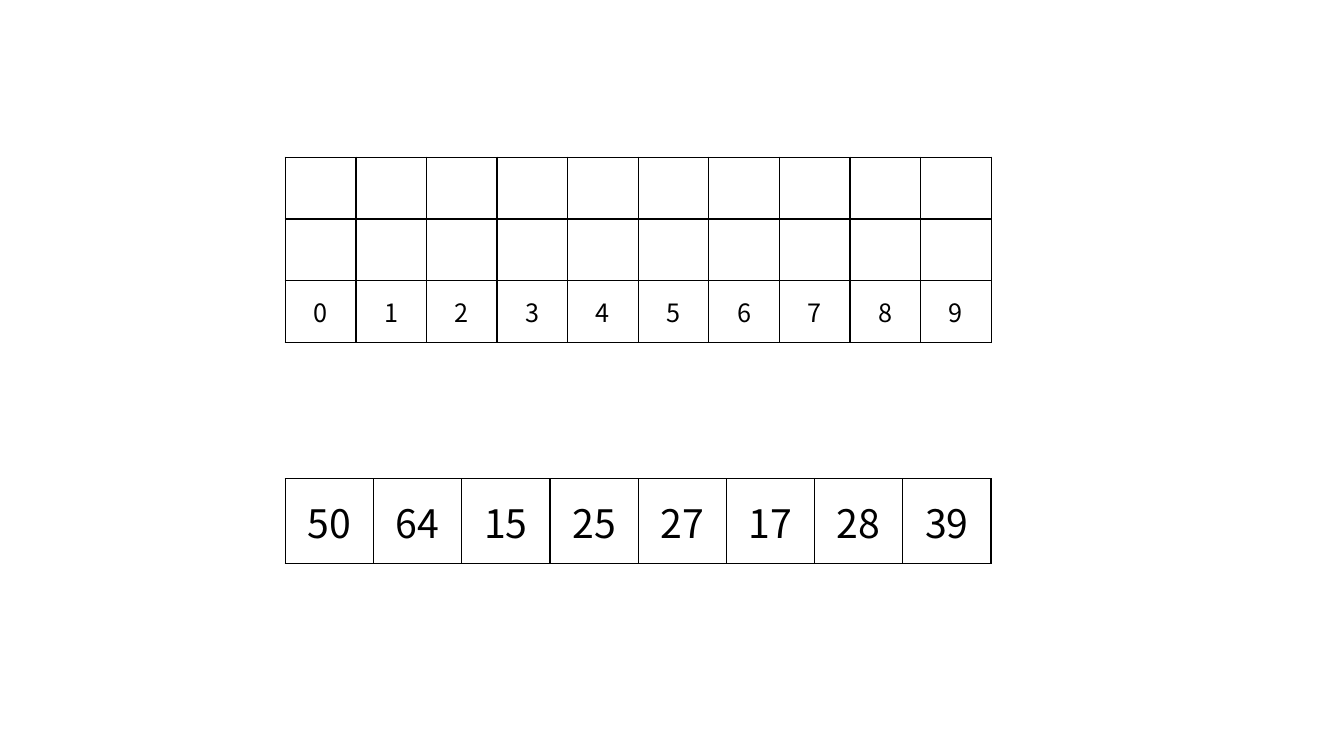
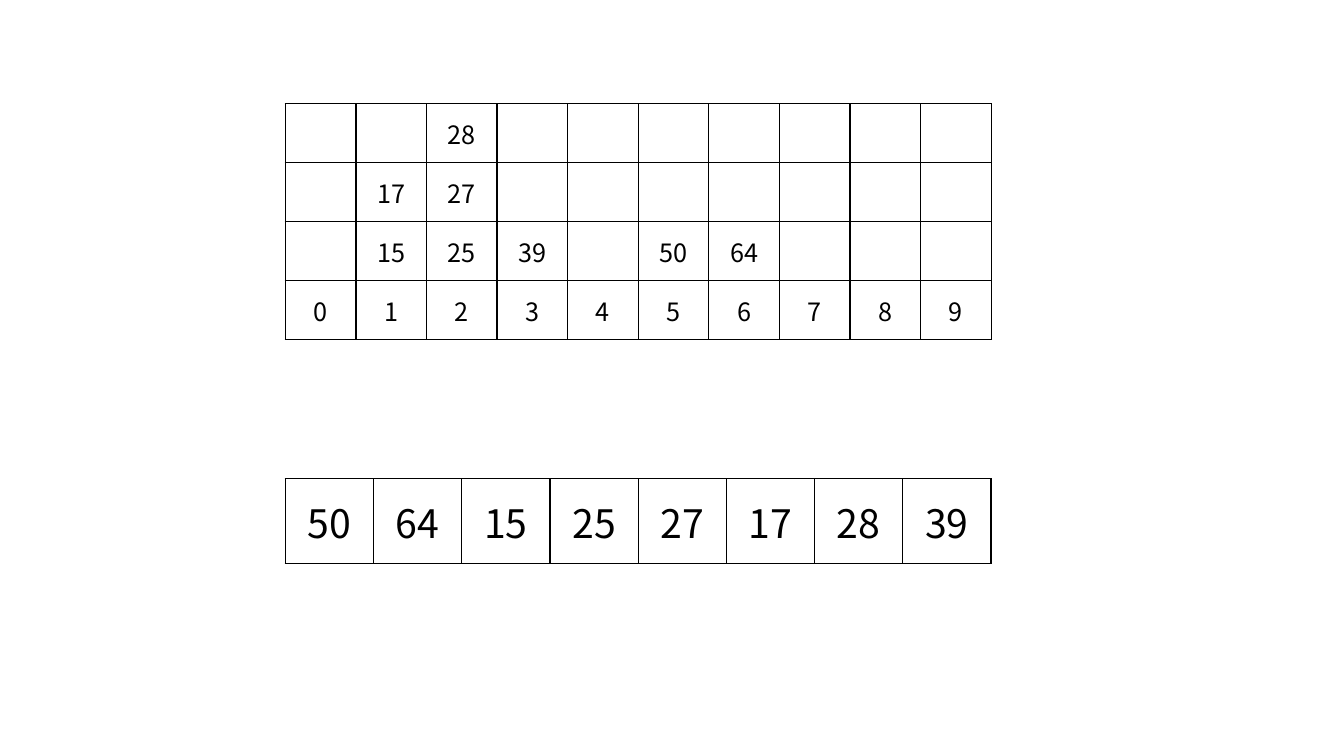
import pptx
import pptx.util
import pptx.dml.color
import pptx.enum.text
import pptx.oxml
import pptx.oxml.ns

Inches = pptx.util.Inches
BLACK = pptx.dml.color.RGBColor(0x00, 0x00, 0x00)
WHITE = pptx.dml.color.RGBColor(0xFF, 0xFF, 0xFF)
FONT = "Noto Sans CJK KR"
LEFT, WIDTH = 2.83, 7
VALUES = [50, 64, 15, 25, 27, 17, 28, 39]
DIGITS = 10


class Deck:
    """Holds the shared style and the current slide."""

    def __init__(self):
        """Start a wide, empty deck."""
        self.show = pptx.Presentation()
        self.show.slide_width = Inches(13.33)
        self.show.slide_height = Inches(7.5)
        self.slide = None

    def add(self):
        """Begin a new blank slide."""
        self.slide = self.show.slides.add_slide(self.show.slide_layouts[6])

    def border(self, cell):
        """Draw a thin black line on all four sides of a cell."""
        props = cell._tc.get_or_add_tcPr()
        for side in ("lnL", "lnR", "lnT", "lnB"):
            props.append(pptx.oxml.parse_xml(
                f'<a:{side} {pptx.oxml.ns.nsdecls("a")} w="{pptx.util.Pt(1)}">'
                f'<a:solidFill><a:srgbClr val="{BLACK}"/></a:solidFill>'
                f'</a:{side}>'))

    def table(self, rows, top, height, size, fill=None):
        """Place a bordered grid of centred text with equal cells."""
        count = len(rows[0])
        grid = self.slide.shapes.add_table(
            len(rows), count, Inches(LEFT), Inches(top),
            Inches(WIDTH), Inches(height)).table
        grid.first_row = grid.horz_banding = False
        for row, texts in zip(grid.rows, rows):
            row.height = Inches(height / len(rows))
            for cell, text in zip(row.cells, texts):
                self.border(cell)
                if fill is None:
                    cell.fill.background()
                else:
                    cell.fill.solid()
                    cell.fill.fore_color.rgb = fill
                self.label(cell, text, size)

    def label(self, cell, text, size):
        """Put centred text in a cell."""
        cell.vertical_anchor = pptx.enum.text.MSO_ANCHOR.MIDDLE
        cell.text = str(text)
        line = cell.text_frame.paragraphs[0]
        line.alignment = pptx.enum.text.PP_ALIGN.CENTER
        line.font.size = pptx.util.Pt(size)
        line.font.name = FONT
        line.font.color.rgb = BLACK

    def array(self):
        """Show the unsorted values in one row."""
        self.table([VALUES], 4.75, 0.84, 28)

    def buckets(self, values, depth, top, height):
        """Stack values upwards over their tens digit."""
        stacks = [[v for v in values if v // 10 == d] for d in range(DIGITS)]
        rows = [[s[level] if level < len(s) else "" for s in stacks]
                for level in reversed(range(depth))]
        self.table(rows + [range(DIGITS)], top, height, 18, WHITE)


deck = Deck()
for values, depth, top, height in (([], 2, 1.56, 1.84),
                                   (VALUES, 3, 1.03, 2.34)):
    deck.add()
    deck.array()
    deck.buckets(values, depth, top, height)
deck.show.save("out.pptx")
